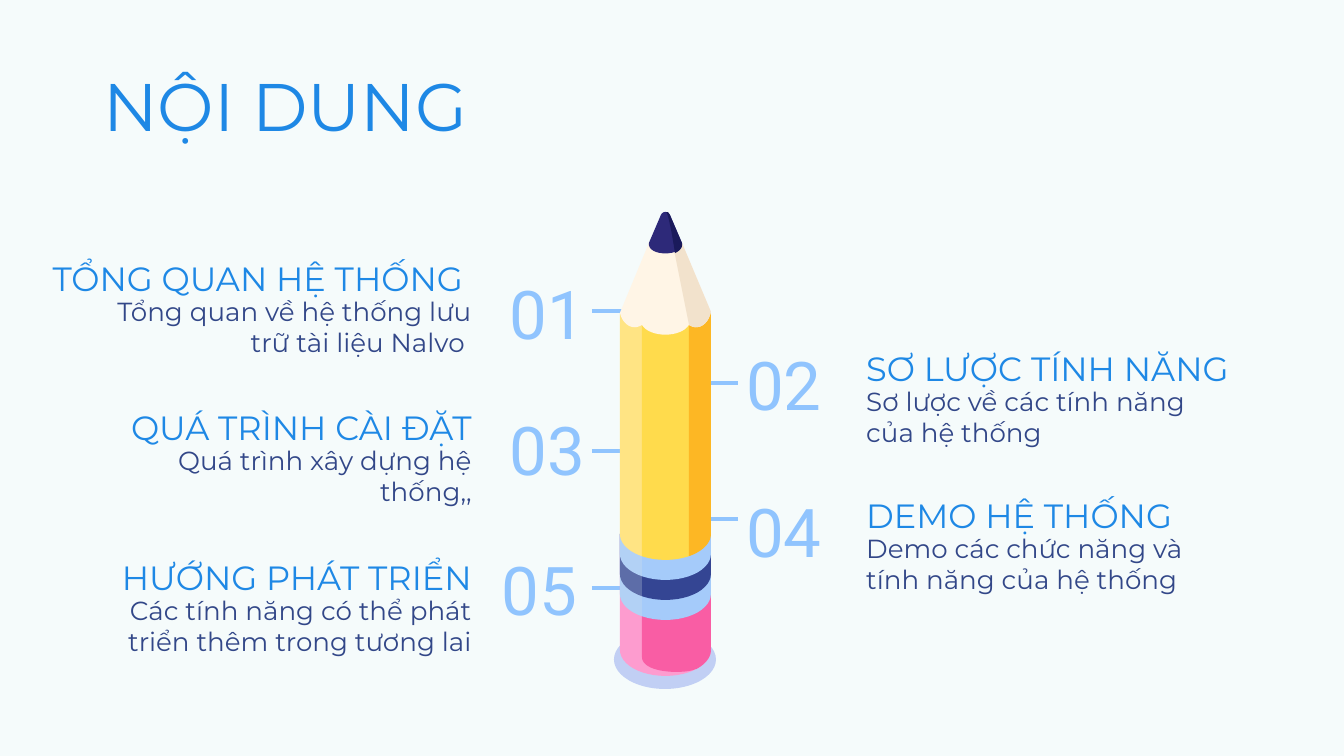
import math

import pptx
import pptx.dml.color
import pptx.enum.shapes
import pptx.enum.text
import pptx.oxml.ns
import pptx.util
from lxml import etree

PX = 914400 / 134.4
BLUE, NAVY, PALE = "1E88E5", "324788", "90C4FE"
ALIGN = pptx.enum.text.PP_ALIGN
ANCHOR = pptx.enum.text.MSO_ANCHOR
TOP, MID, LOW = ANCHOR.TOP, ANCHOR.MIDDLE, ANCHOR.BOTTOM

# Pencil barrel: outer edges, the two stripe borders, and the curve of its rings
LEFT, INL, INR, RIGHT = 620, 642, 689, 711
BEND = 26

# number, (left, top, width, anchor), heading, width, body, (top, width, height)
LEFTS = [
    ("01", (487, 259, 121, TOP), "TỔNG QUAN HỆ THỐNG ", 454,
     "Tổng quan về hệ thống lưu trữ tài liệu Nalvo ", (282, 390, 110)),
    ("03", (470, 395, 155, TOP), "QUÁ TRÌNH CÀI ĐẶT", 429,
     "Quá trình xây dựng hệ thống,,", (431, 383, 110)),
    ("05 ", (478, 546, 140, MID), "HƯỚNG PHÁT TRIỂN", 429,
     "Các tính năng có thể phát triển thêm trong tương lai", (581, 390, 85)),
]
RIGHTS = [
    ("02", (714, 341, 140, MID), "SƠ LƯỢC TÍNH NĂNG", 429,
     "Sơ lược về các tính năng của hệ thống", (372, 390, 85)),
    ("04", (714, 488, 140, MID), "DEMO HỆ THỐNG", 360,
     "Demo các chức năng và tính năng của hệ thống", (519, 360, 85)),
]


def emu(px):
    return pptx.util.Emu(round(px * PX))


def rgb(code):
    return pptx.dml.color.RGBColor.from_string(code)


def tag(parent, name, **attrs):
    return etree.SubElement(parent, pptx.oxml.ns.qn(name), **attrs)


def label(slide, text, box, size, color, font="Montserrat",
          align=ALIGN.LEFT, anchor=TOP):
    frame = slide.shapes.add_textbox(*map(emu, box)).text_frame
    frame.word_wrap = True
    frame.vertical_anchor = anchor
    frame.margin_left = frame.margin_right = pptx.util.Inches(0.1)
    frame.margin_top = frame.margin_bottom = pptx.util.Inches(0.1)
    para = frame.paragraphs[0]
    para.text = text
    para.alignment = align
    para.font.size = pptx.util.Pt(size)
    para.font.name = font
    para.font.color.rgb = rgb(color)


def entry(slide, item, edge, align):
    """Place a number with its heading and body; edge is the aligned side."""
    num, (x, y, width, anchor), head, wide, body, (top, span, high) = item

    def start(size):
        return edge - size if align == ALIGN.RIGHT else edge

    label(slide, num, (x, y, width, 85), 36, PALE, "Roboto", ALIGN.CENTER, anchor)
    label(slide, head, (start(wide), top - 55, wide, 85), 18, BLUE,
          align=align, anchor=LOW)
    label(slide, body, (start(span), top, span, high), 14, NAVY, align=align)


def tick(slide, x, y):
    line = slide.shapes.add_connector(
        pptx.enum.shapes.MSO_CONNECTOR.STRAIGHT,
        emu(x), emu(y), emu(x + 80), emu(y))
    line.line.color.rgb = rgb(PALE)
    line.line.width = pptx.util.Pt(2.25)
    tag(line._element.spPr, "a:effectLst")


def paint(shape, color, alpha=None):
    shape.shadow.inherit = False
    shape.line.fill.background()
    shape.fill.solid()
    shape.fill.fore_color.rgb = rgb(color)
    if alpha:
        fill = shape._element.spPr.find(pptx.oxml.ns.qn("a:solidFill"))
        tag(fill[0], "a:alpha", val=str(alpha * 1000))


def patch(group, points, color, alpha=None):
    """Fill a closed outline given in px."""
    spots = [(emu(x), emu(y)) for x, y in points]
    pen = group.shapes.build_freeform(*spots[0])
    pen.add_line_segments(spots[1:], close=True)
    paint(pen.convert_to_shape(), color, alpha)


def curve(*ctrl):
    """Points along a cubic Bezier curve."""
    def spot(t):
        mix = ((1 - t) ** 3, 3 * t * (1 - t) ** 2, 3 * t * t * (1 - t), t ** 3)
        return tuple(sum(m * p[i] for m, p in zip(mix, ctrl)) for i in (0, 1))
    return [spot(n / 16) for n in range(17)]


def rim(left, right, y):
    """Points along the lower rim of the barrel, from left to right."""
    mid, rad = (LEFT + RIGHT) / 2, (RIGHT - LEFT) / 2
    first, last = (math.acos((x - mid) / rad) for x in (left, right))
    angles = [first + (last - first) * n / 24 for n in range(25)]
    return [(mid + rad * math.cos(a), y + BEND * math.sin(a)) for a in angles]


def strip(group, left, right, top, low, color, alpha=None):
    """Flat at the top, ending in the barrel's rim."""
    patch(group, [(right, top), (left, top)] + rim(left, right, low), color, alpha)


def pencil(slide):
    group = slide.shapes.add_group_shape()
    oval = group.shapes.add_shape(pptx.enum.shapes.MSO_SHAPE.OVAL,
                                  *map(emu, (614, 630, 102, 59)))
    paint(oval, "C1CFF4")

    # Eraser
    strip(group, LEFT, RIGHT, 534, 650, "FD9CCF")
    patch(group, [(RIGHT, 594), (INL, 594)]
          + curve((INL, 657), (INL, 668), (661, 672), (676, 672))
          + curve((676, 672), (685, 672), (692, 671), (696, 669))
          + rim(696, RIGHT, 650), "F95DA4")

    # Rings, each covering the upper part of the one before
    for low, color in (594, "A5CBFA"), (574, "344593"), (554, "A5CBFA"):
        strip(group, LEFT, RIGHT, 534, low, color)
    strip(group, LEFT, INL, 534, 594, "DAE6EA", 25)

    # Body
    for left, right, color in ((LEFT, INL, "FFE484"), (INL, INR, "FFDB4C"),
                               (INR, RIGHT, "FDB724")):
        strip(group, left, right, 313, 534, color)

    # Wood
    last = curve((INR, 325), (698, 331), (708, 325), (RIGHT, 312))
    patch(group, [(682, 243), (649, 243)]
          + curve((LEFT, 313), (623, 325), (633, 331), (INL, 325))
          + curve((INL, 325), (650, 338), (681, 338), (INR, 325))
          + last, "FFF5E6")
    patch(group, [(682, 243), (674, 250)] + last, "F2E2CC")

    # Lead
    cap = curve((661, 215), (663, 211), (668, 211), (670, 215))
    base = curve((682, 243), (684, 257), (647, 257), (649, 243))
    patch(group, cap + base, "2D2979")
    patch(group, curve((666, 212), (668, 212), (672, 233), (675, 253))
          + curve((675, 253), (680, 251), (683, 247), (682, 243))
          + [(670, 215), (668, 212)], "1A1A5B")


def main():
    deck = pptx.Presentation()
    deck.slide_width, deck.slide_height = emu(1344), emu(756)
    slide = deck.slides.add_slide(deck.slide_layouts[6])
    slide.background.fill.solid()
    slide.background.fill.fore_color.rgb = rgb("F5FBFB")

    for x, rows in (592, (311, 451, 588)), (658, (383, 519)):
        for y in rows:
            tick(slide, x, y)
    label(slide, "NỘI DUNG", (90, 51, 700, 85), 36, BLUE)
    for item in LEFTS:
        entry(slide, item, 485, ALIGN.RIGHT)
    for item in RIGHTS:
        entry(slide, item, 853, ALIGN.LEFT)
    pencil(slide)
    deck.save("out.pptx")


if __name__ == "__main__":
    main()
